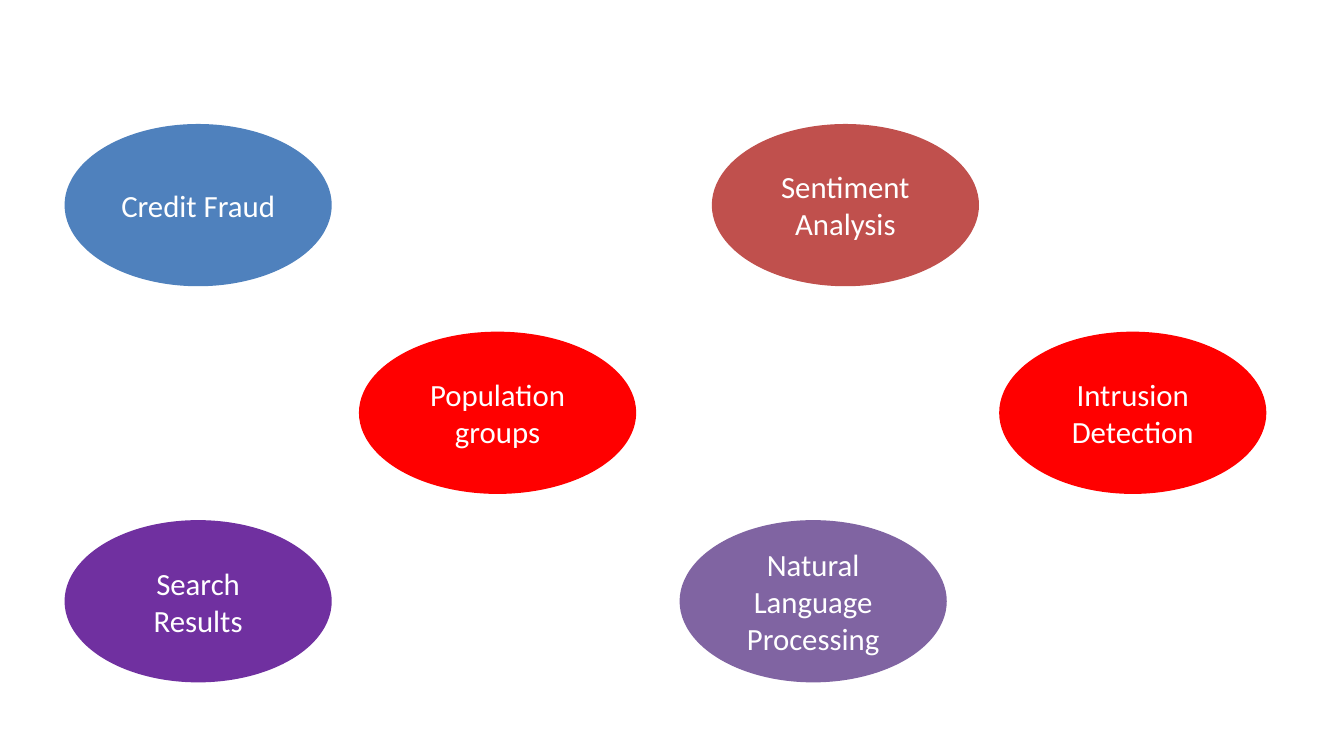
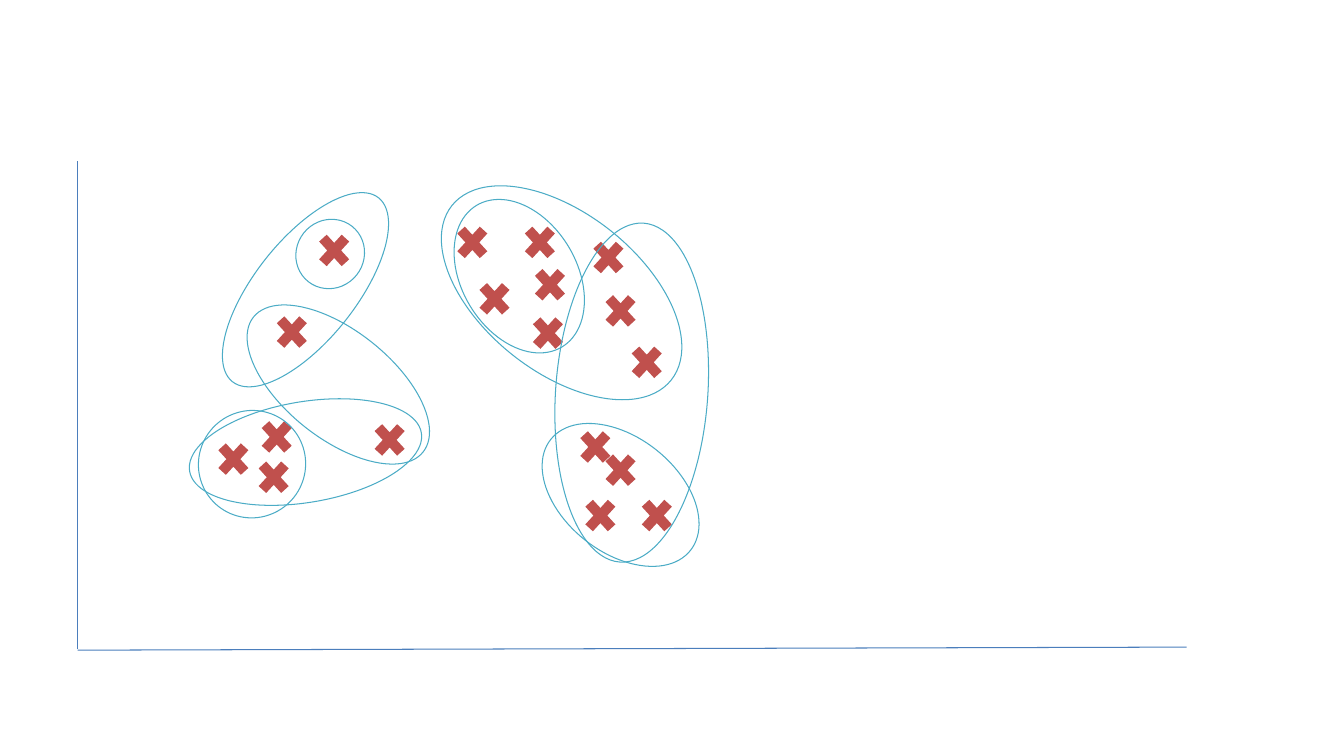
import pptx
import pptx.dml.color
import pptx.enum.shapes
import pptx.enum.text
import pptx.oxml.ns
import pptx.util
from dataclasses import dataclass
from lxml import etree

Inches = pptx.util.Inches
Pt = pptx.util.Pt
Color = pptx.dml.color.RGBColor.from_string
Shapes = pptx.enum.shapes.MSO_SHAPE


@dataclass(frozen=True)
class Theme:
    blue: str = "4F81BD"
    brick: str = "C0504D"
    red: str = "FF0000"
    lavender: str = "8064A2"
    purple: str = "7030A0"
    teal: str = "4BACC6"
    axis: str = "4B7EBC"
    white: str = "FFFFFF"
    font: str = "Calibri"
    label_size: int = 22
    line_width: float = 0.75


theme = Theme()


def add_figure(slide, kind, left, top, width, height, fill=None, line=None):
    """Add a flat preset shape with an optional fill and outline."""
    shape = slide.shapes.add_shape(
        kind, Inches(left), Inches(top), Inches(width), Inches(height))
    shape.shadow.inherit = False
    if fill:
        shape.fill.solid()
        shape.fill.fore_color.rgb = Color(fill)
    else:
        shape.fill.background()
    if line:
        shape.line.color.rgb = Color(line)
        shape.line.width = Pt(theme.line_width)
    else:
        shape.line.fill.background()
    return shape


presentation = pptx.Presentation()
presentation.slide_width = Inches(13.33)
presentation.slide_height = Inches(7.5)
blank = presentation.slide_layouts[6]

# Slide 1: applications in three rows of ovals
slide = presentation.slides.add_slide(blank)
upper, middle, lower = 1.23, 3.29, 5.16
oval_width, oval_height = 2.65, 1.61
applications = [
    ("Credit Fraud", 0.64, upper, oval_width, theme.blue),
    ("Intrusion Detection", 9.91, middle, oval_width, theme.red),
    ("Sentiment Analysis", 7.06, upper, oval_width, theme.brick),
    ("Natural Language Processing", 6.74, lower, oval_width, theme.lavender),
    ("Population groups", 3.56, middle, 2.75, theme.red),
    ("Search Results", 0.64, lower, oval_width, theme.purple),
]
for label, left, top, width, color in applications:
    oval = add_figure(slide, Shapes.OVAL, left, top, width, oval_height, fill=color)
    oval.text_frame.word_wrap = True
    oval.text_frame.vertical_anchor = pptx.enum.text.MSO_ANCHOR.MIDDLE
    paragraph = oval.text_frame.paragraphs[0]
    paragraph.alignment = pptx.enum.text.PP_ALIGN.CENTER
    run = paragraph.add_run()
    run.text = label
    run.font.name = theme.font
    run.font.size = Pt(theme.label_size)
    run.font.color.rgb = Color(theme.white)

# Slide 2: clusters of points
slide = presentation.slides.add_slide(blank)

# Axes
for x1, y1, x2, y2 in [(0.77, 1.6, 0.77, 6.44), (0.77, 6.45, 11.77, 6.42)]:
    axis = slide.shapes.add_connector(
        pptx.enum.shapes.MSO_CONNECTOR.STRAIGHT,
        Inches(x1), Inches(y1), Inches(x2), Inches(y2))
    axis.line.color.rgb = Color(theme.axis)
    axis.line.width = Pt(theme.line_width)
    etree.SubElement(axis._element.spPr, pptx.oxml.ns.qn("a:effectLst"))

# Data points
points = [
    (5.94, 4.43), (2.68, 3.06), (3.65, 4.13), (2.53, 4.1), (2.1, 4.32), (2.5, 4.5),
    (5.24, 2.59), (4.69, 2.73), (4.47, 2.17), (5.14, 2.17), (5.82, 2.32), (3.1, 2.25),
    (5.94, 2.85), (6.2, 3.36), (5.22, 3.07), (5.74, 4.88), (5.69, 4.2), (6.3, 4.88),
]
for left, top in points:
    add_figure(slide, Shapes.MATH_MULTIPLY, left, top, 0.43, 0.47, fill=theme.brick)

# Cluster outlines: left, top, width, height, rotation
tilt = 38.5
clusters = [
    (5.27, 4.34, 1.77, 1.14, tilt),
    (4.18, 2.12, 2.78, 1.57, tilt),
    (2.53, 1.71, 1, 2.33, tilt),
    (2.53, 3.32, 1, 2.33, 80.6),
    (2.28, 3.28, 2.15, 1.07, tilt),
    (1.97, 4.07, 1.06, 1.07, tilt),
    (2.94, 2.17, 0.67, 0.7, tilt),
    (4.33, 2.17, 1.64, 1.14, 58.9),
    (4.58, 3.14, 3.37, 1.51, 94),
]
for left, top, width, height, rotation in clusters:
    cluster = add_figure(slide, Shapes.OVAL, left, top, width, height, line=theme.teal)
    cluster.rotation = rotation

presentation.save("out.pptx")
